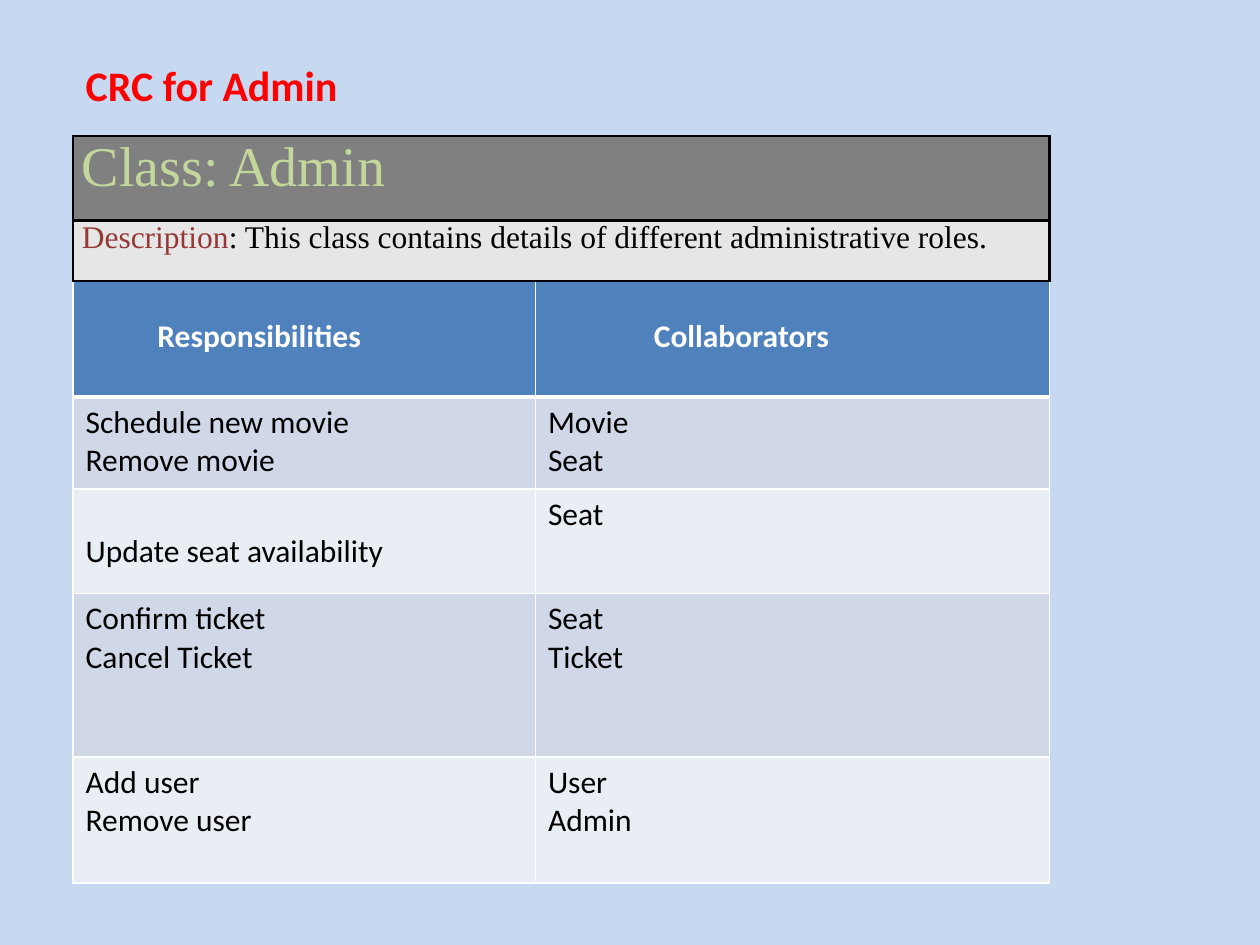
from pptx import Presentation
from pptx import util as u
from pptx.dml import color
from pptx.enum import text
from pptx.oxml import parse_xml
from pptx.oxml.ns import nsdecls

LEFT, WIDE = 0.58, 7.75
SANS, SERIF = "Calibri", "Times New Roman"


def paint(fill, tone):
    """Fill with a solid hex colour."""
    fill.solid()
    fill.fore_color.rgb = color.RGBColor.from_string(tone)


def style(font, face, size, tone, bold=False):
    """Set face, size, colour and weight of a font."""
    font.name, font.size, font.bold = face, u.Pt(size), bold
    font.color.rgb = color.RGBColor.from_string(tone)


def edge(cell, tone, widths):
    """Draw the borders of a cell; widths are points for L, R, T, B."""
    props = cell._tc.get_or_add_tcPr()
    for spot, (side, width) in enumerate(zip("LRTB", widths)):
        props.insert(spot, parse_xml(
            f'<a:ln{side} {nsdecls("a")} w="{u.Pt(width)}"><a:solidFill>'
            f'<a:srgbClr val="{tone}"/></a:solidFill></a:ln{side}>'))


def grid(slide, top, cols, rows):
    """Add a table with the given column widths and row heights."""
    table = slide.shapes.add_table(
        len(rows), len(cols), u.Inches(LEFT), u.Inches(top),
        u.Inches(sum(cols)), u.Inches(sum(rows))).table
    for col, width in zip(table.columns, cols):
        col.width = u.Inches(width)
    for row, height in zip(table.rows, rows):
        row.height = u.Inches(height)
    return table


def write(cell, words, tone, bold=False, left=0.1, top=0.05):
    """Write lines of body text into a cell with the given insets."""
    cell.margin_left, cell.margin_top = u.Inches(left), u.Inches(top)
    cell.text = words
    for para in cell.text_frame.paragraphs:
        style(para.font, SANS, 18, tone, bold)


def duties(slide):
    """Add the table of responsibilities and collaborators."""
    rows = [("Responsibilities", "Collaborators"),
            ("Schedule new movie\nRemove movie", "Movie\nSeat"),
            ("Update seat availability", "Seat"),
            ("Confirm ticket\nCancel Ticket", "Seat\nTicket"),
            ("Add user\nRemove user", "User\nAdmin")]
    table = grid(slide, 2.17, [3.67, 4.08], [0.98, 0.73, 0.83, 1.3, 1])
    drop = 0.35
    for r, row in enumerate(rows):
        for c, words in enumerate(row):
            cell = table.cell(r, c)
            if r == 0:
                write(cell, words, "FFFFFF", True, (0.67, 0.94)[c], drop)
                paint(cell.fill, "4F81BD")
            else:
                low = drop if (r, c) == (2, 0) else 0.05
                write(cell, words, "000000", top=low)
                paint(cell.fill, "D0D8E8" if r % 2 else "E9EDF4")
            edge(cell, "FFFFFF", (1, 1, 3 if r == 1 else 1, 1 if r else 3))


def card(slide):
    """Add the table that names and describes the class."""
    rows = [("808080", [("Class: Admin", 32, "C3D69B")]),
            ("E6E6E6", [("Description", 18, "953735"),
                        (": This class contains details of different "
                         "administrative roles.", 18, "000000")])]
    table = grid(slide, 1.08, [WIDE], [0.67, 0.48])
    for r, (back, runs) in enumerate(rows):
        cell = table.cell(r, 0)
        cell.margin_left = cell.margin_right = u.Inches(0.07)
        cell.margin_top = cell.margin_bottom = 0
        for words, size, tone in runs:
            run = cell.text_frame.paragraphs[0].add_run()
            run.text = words
            style(run.font, SERIF, size, tone)
        paint(cell.fill, back)
        edge(cell, "000000", [1.5] * 4)


def head(slide):
    """Place and format the slide title."""
    title = slide.shapes.title
    title.left, title.top = u.Inches(LEFT), u.Inches(0.42)
    title.width, title.height = u.Inches(2.22), u.Inches(0.5)
    frame = title.text_frame
    frame.text = "CRC for Admin"
    frame.word_wrap = False
    frame.auto_size = text.MSO_AUTO_SIZE.SHAPE_TO_FIT_TEXT
    para = frame.paragraphs[0]
    para.alignment = text.PP_ALIGN.LEFT
    style(para.font, SANS, 24, "FF0000", True)


def main():
    """Build the slide and save it."""
    deck = Presentation()
    deck.slide_width, deck.slide_height = u.Inches(10), u.Inches(7.5)
    slide = deck.slides.add_slide(deck.slide_layouts[5])
    paint(slide.background.fill, "C6D9F1")
    head(slide)
    duties(slide)
    card(slide)
    deck.save("out.pptx")


main()
